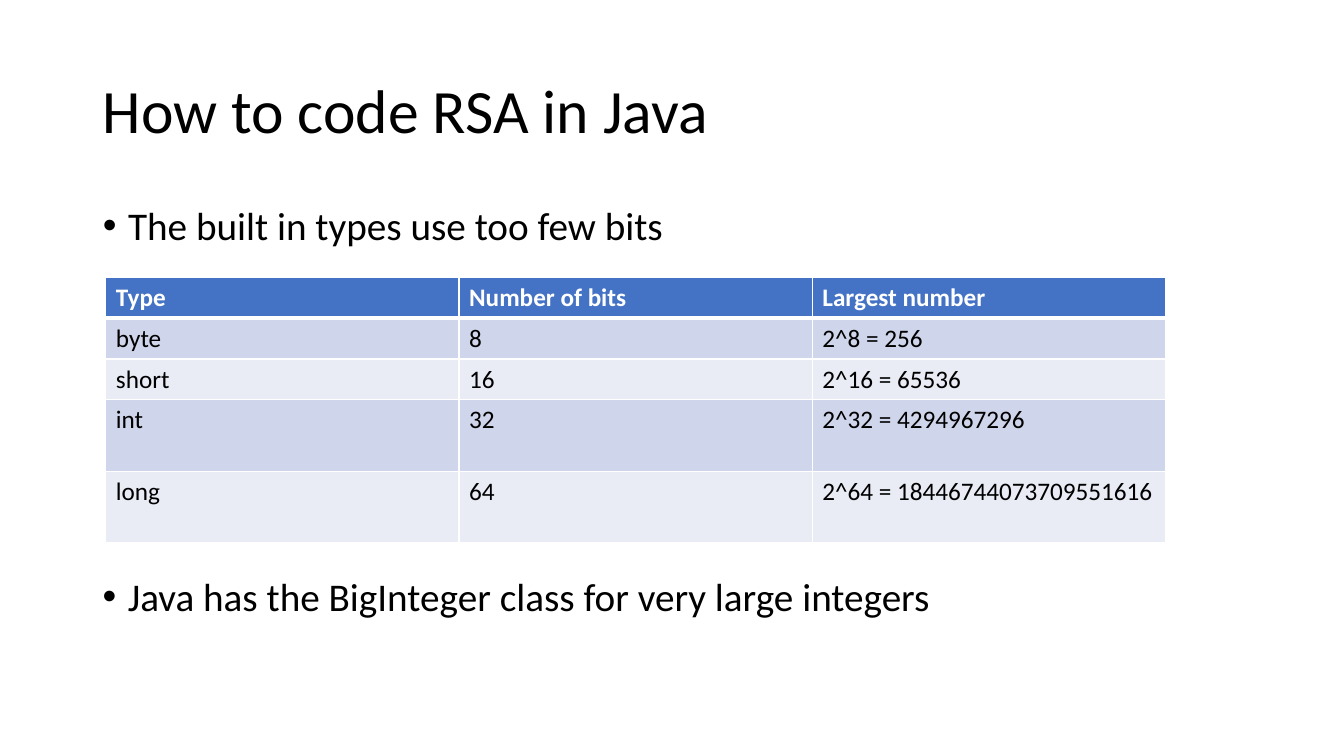
from lxml import etree
from pptx import Presentation
from pptx.dml.color import RGBColor
from pptx.enum import text as t
from pptx.oxml import ns
from pptx.util import Inches, Pt

HUES = {"ink": "000000", "paper": "FFFFFF", "head": "4472C4",
        "odd": "CFD5EA", "even": "E9EBF5"}
FACE = "Calibri"
ROWS = [
    ("Type", "Number of bits", "Largest number"),
    ("byte", "8", "2^8 = 256"),
    ("short", "16", "2^16 = 65536"),
    ("int", "32", "2^32 = 4294967296"),
    ("long", "64", "2^64 = 18446744073709551616"),
]
HIGHS = [0.4, 0.4, 0.4, 0.71, 0.71]


def hue(name):
    """Return the named colour."""
    return RGBColor.from_string(HUES[name])


def place(shape, box):
    """Move a shape to a box given in inches."""
    shape.left, shape.top, shape.width, shape.height = map(Inches, box)


def style(para, size, tone="ink", bold=False):
    """Set the font of a paragraph."""
    font = para.font
    font.name, font.size, font.bold = FACE, Pt(size), bold
    font.color.rgb = hue(tone)


def add_title(slide, box, words):
    """Fill the title placeholder."""
    title = slide.shapes.title
    place(title, box)
    frame = title.text_frame
    frame.text = words
    frame.vertical_anchor = t.MSO_ANCHOR.MIDDLE
    frame.auto_size = t.MSO_AUTO_SIZE.NONE
    para = frame.paragraphs[0]
    para.alignment = t.PP_ALIGN.LEFT
    para.line_spacing = 0.9
    style(para, 44)


def add_point(shape, box, words):
    """Write one bulleted line in a shape."""
    place(shape, box)
    frame = shape.text_frame
    frame.text = words
    frame.word_wrap = True
    frame.auto_size = t.MSO_AUTO_SIZE.NONE
    para = frame.paragraphs[0]
    props = para._p.get_or_add_pPr()
    props.set("marL", str(Inches(0.25)))
    props.set("indent", str(Inches(-0.25)))
    etree.SubElement(props, ns.qn("a:buFont"), typeface="Arial")
    etree.SubElement(props, ns.qn("a:buChar"), char="•")
    para.line_spacing = 0.9
    para.space_before = Pt(10)
    style(para, 28)


def add_edges(cell, widths):
    """Draw the left, right, top and bottom borders of a cell."""
    props = cell._tc.get_or_add_tcPr()
    for spot, (side, width) in enumerate(zip("LRTB", widths)):
        line = etree.Element(ns.qn(f"a:ln{side}"), w=str(Pt(width)))
        fill = etree.SubElement(line, ns.qn("a:solidFill"))
        etree.SubElement(fill, ns.qn("a:srgbClr"), val=HUES["paper"])
        props.insert(spot, line)


def add_grid(slide, box, rows, highs):
    """Add the banded table of types."""
    table = slide.shapes.add_table(len(rows), len(rows[0]), *map(Inches, box)).table
    for row, high in zip(table.rows, highs):
        row.height = Inches(high)
    for r, row in enumerate(rows):
        head = r == 0
        band = "head" if head else ("even", "odd")[r % 2]
        for c, words in enumerate(row):
            cell = table.cell(r, c)
            cell.text = words
            cell.fill.solid()
            cell.fill.fore_color.rgb = hue(band)
            style(cell.text_frame.paragraphs[0], 18, "paper" if head else "ink", head)
            add_edges(cell, (1, 1, 3 if r == 1 else 1, 3 if head else 1))


def main():
    """Build and save the slide."""
    deck = Presentation()
    deck.slide_width, deck.slide_height = Inches(13.33), Inches(7.5)
    slide = deck.slides.add_slide(deck.slide_layouts[1])
    add_title(slide, (0.92, 0.4, 11.5, 1.45), "How to code RSA in Java")
    add_point(slide.placeholders[1], (0.92, 2, 11.5, 0.86),
              "The built in types use too few bits")
    add_grid(slide, (1.05, 2.75, 10.51, sum(HIGHS)), ROWS, HIGHS)
    box = (0.92, 5.68, 8.63, 0.86)
    add_point(slide.shapes.add_textbox(*map(Inches, box)), box,
              "Java has the BigInteger class for very large integers")
    deck.save("out.pptx")


if __name__ == "__main__":
    main()
